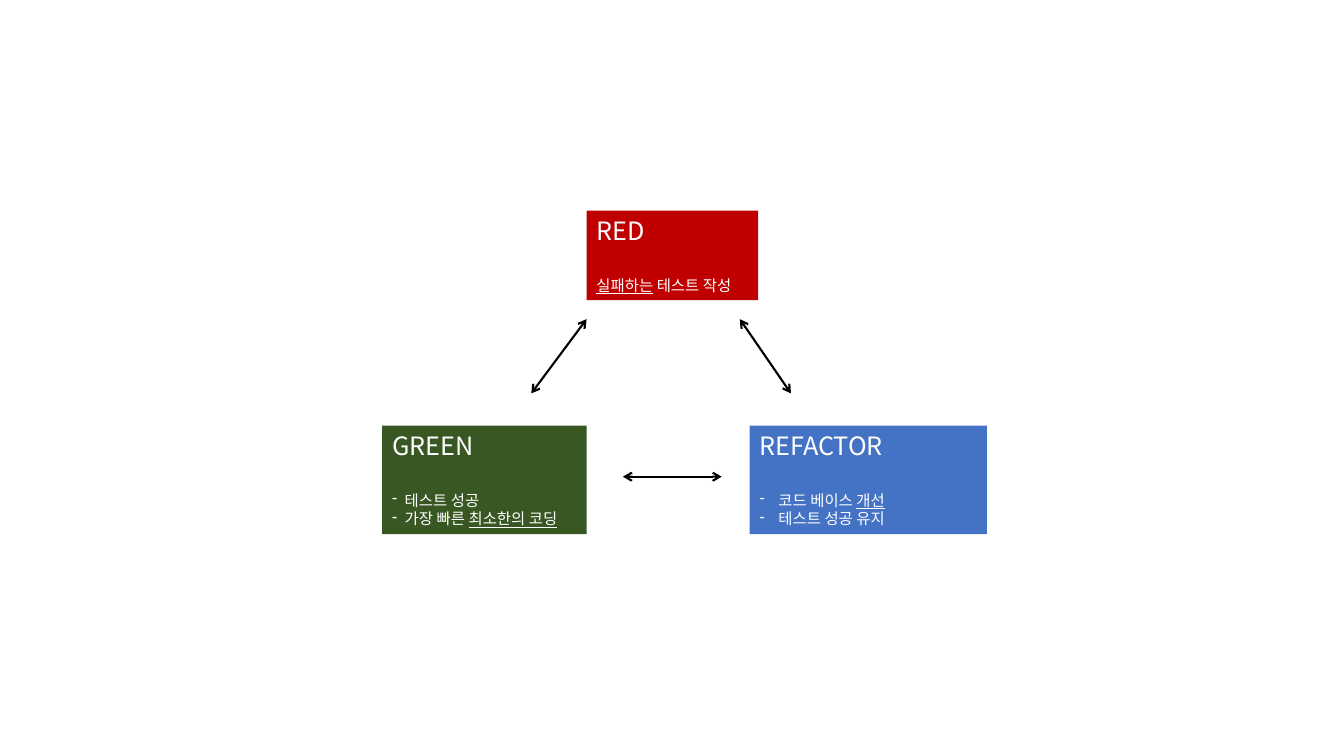
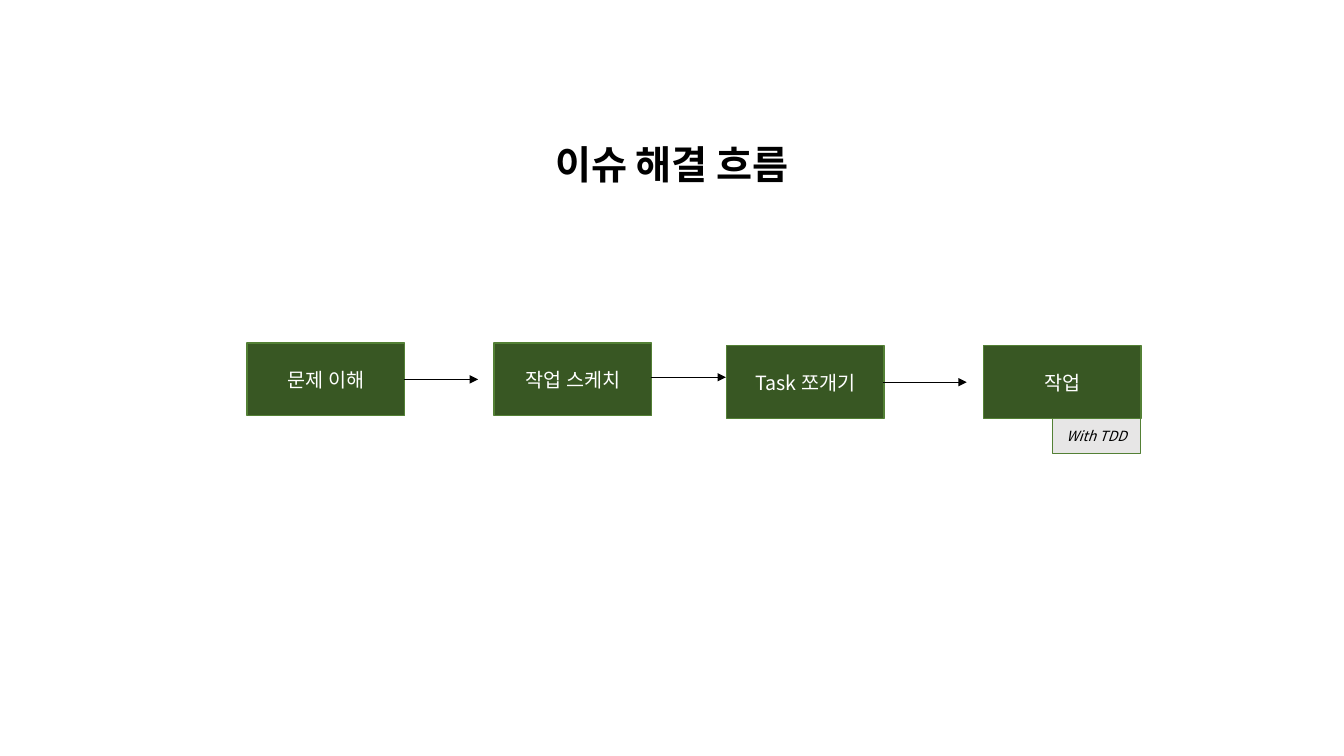
from lxml import etree
from pptx import Presentation
from pptx.dml.color import RGBColor as Rgb
from pptx.enum import shapes, text
from pptx.oxml import ns
from pptx.util import Pt


class Theme:
    font = "Noto Sans CJK KR"
    red = Rgb.from_string("C00000")
    green = Rgb.from_string("385723")
    blue = Rgb.from_string("4472C4")
    edge = Rgb.from_string("538035")
    grey = Rgb.from_string("E7E6E6")
    white = Rgb.from_string("FFFFFF")
    black = Rgb.from_string("000000")
    title, head, step, body, tag = 28, 18, 14, 11, 10
    gap = 21.5


def write(para, words, size, color, align=text.PP_ALIGN.LEFT):
    """Add (words, style) runs; style names a font switch, or is empty."""
    para.alignment = align
    for word, style in words:
        run = para.add_run()
        run.text = word
        font = run.font
        font.name, font.size = Theme.font, Pt(size)
        font.color.rgb = color
        if style:
            setattr(font, style, True)
        east = etree.SubElement(font._element, ns.qn("a:ea"))
        east.set("typeface", Theme.font)


def arrow(slide, start, end, width, **tips):
    """Draw a straight line with the given headEnd and tailEnd tips."""
    points = [Pt(v) for v in start + end]
    link = slide.shapes.add_connector(shapes.MSO_CONNECTOR.STRAIGHT, *points)
    link.line.color.rgb = Theme.black
    link.line.width = Pt(width)
    for name, kind in tips.items():
        tip = etree.SubElement(link.line._get_or_add_ln(), ns.qn("a:" + name))
        tip.set("type", kind)
    etree.SubElement(link._element.spPr, ns.qn("a:effectLst"))


deck = Presentation()
deck.slide_width, deck.slide_height = Pt(960), Pt(540)
blank = deck.slide_layouts[6]
rect = shapes.MSO_SHAPE.RECTANGLE
mid = text.PP_ALIGN.CENTER

# Slide 1: the TDD cycle
cycle = deck.slides.add_slide(blank)

# Each phase: name, fill, place, bullet indent, lines of runs
phases = [
    ("RED", Theme.red, (419, 150.5, 122.5, 64), 0,
     [[("실패하는", "underline"), (" 테스트 작성", "")]]),
    ("GREEN", Theme.green, (273, 304, 146, 77.5), 9,
     [[("테스트 성공", "")],
      [("가장 빠른 ", ""), ("최소한의 코딩", "underline")]]),
    ("REFACTOR", Theme.blue, (535.5, 304, 169.5, 77.5), 13.5,
     [[("코드 베이스 ", ""), ("개선", "underline")],
      [("테스트 성공 유지", "")]]),
]
for name, fill, place, indent, lines in phases:
    card = cycle.shapes.add_shape(rect, *[Pt(v) for v in place])
    card.shadow.inherit = False
    card.fill.solid()
    card.fill.fore_color.rgb = fill
    card.line.fill.background()
    frame = card.text_frame
    frame.word_wrap = True
    frame.vertical_anchor = text.MSO_ANCHOR.TOP
    write(frame.paragraphs[0], [(name, "")], Theme.head, Theme.white)
    for row, words in enumerate(lines):
        para = frame.add_paragraph()
        write(para, words, Theme.body, Theme.white)
        if row == 0:
            para.space_before = Pt(Theme.gap)
        if indent:
            props = para._p.get_or_add_pPr()
            props.set("marL", str(Pt(indent)))
            props.set("indent", str(-Pt(indent)))
            etree.SubElement(props, ns.qn("a:buChar")).set("char", "-")

# Two-way arrows between the phases
for start, end in [((419, 228), (379.5, 281)),
                   ((528.5, 228), (565, 281)),
                   ((445, 340.5), (515.5, 340.5))]:
    arrow(cycle, start, end, 1.5, headEnd="arrow", tailEnd="arrow")

# Slide 2: the issue flow
flow = deck.slides.add_slide(blank)

# Title
title = flow.shapes.add_textbox(Pt(240), Pt(96.5), Pt(480), Pt(41))
title.text_frame.word_wrap = True
write(title.text_frame.paragraphs[0], [("이슈 해결 흐름", "bold")],
      Theme.title, Theme.black, mid)

# Steps, and the tag under the last one
look = (112.5, 52, Theme.green, Theme.step, Theme.white, "")
note = (62.5, 25, Theme.grey, Theme.tag, Theme.black, "italic")
steps = [
    ("문제 이해", 176.5, 245, look),
    ("작업 스케치", 353, 245, look),
    ("Task 쪼개기", 519, 247, look),
    ("작업", 702.5, 247, look),
    ("With TDD", 752, 299, note),
]
for name, left, top, (wide, high, fill, size, color, style) in steps:
    box = flow.shapes.add_shape(rect, Pt(left), Pt(top), Pt(wide), Pt(high))
    box.shadow.inherit = False
    box.fill.solid()
    box.fill.fore_color.rgb = fill
    box.line.color.rgb = Theme.edge
    box.line.width = Pt(1)
    box.text_frame.word_wrap = True
    box.text_frame.vertical_anchor = text.MSO_ANCHOR.MIDDLE
    write(box.text_frame.paragraphs[0], [(name, style)], size, color, mid)

# Arrows from step to step
for left, right, y in [(288.5, 341.5, 271), (465, 518.5, 269.5),
                       (631, 690.5, 273)]:
    arrow(flow, (left, y), (right, y), 0.5, tailEnd="triangle")

deck.save("out.pptx")
